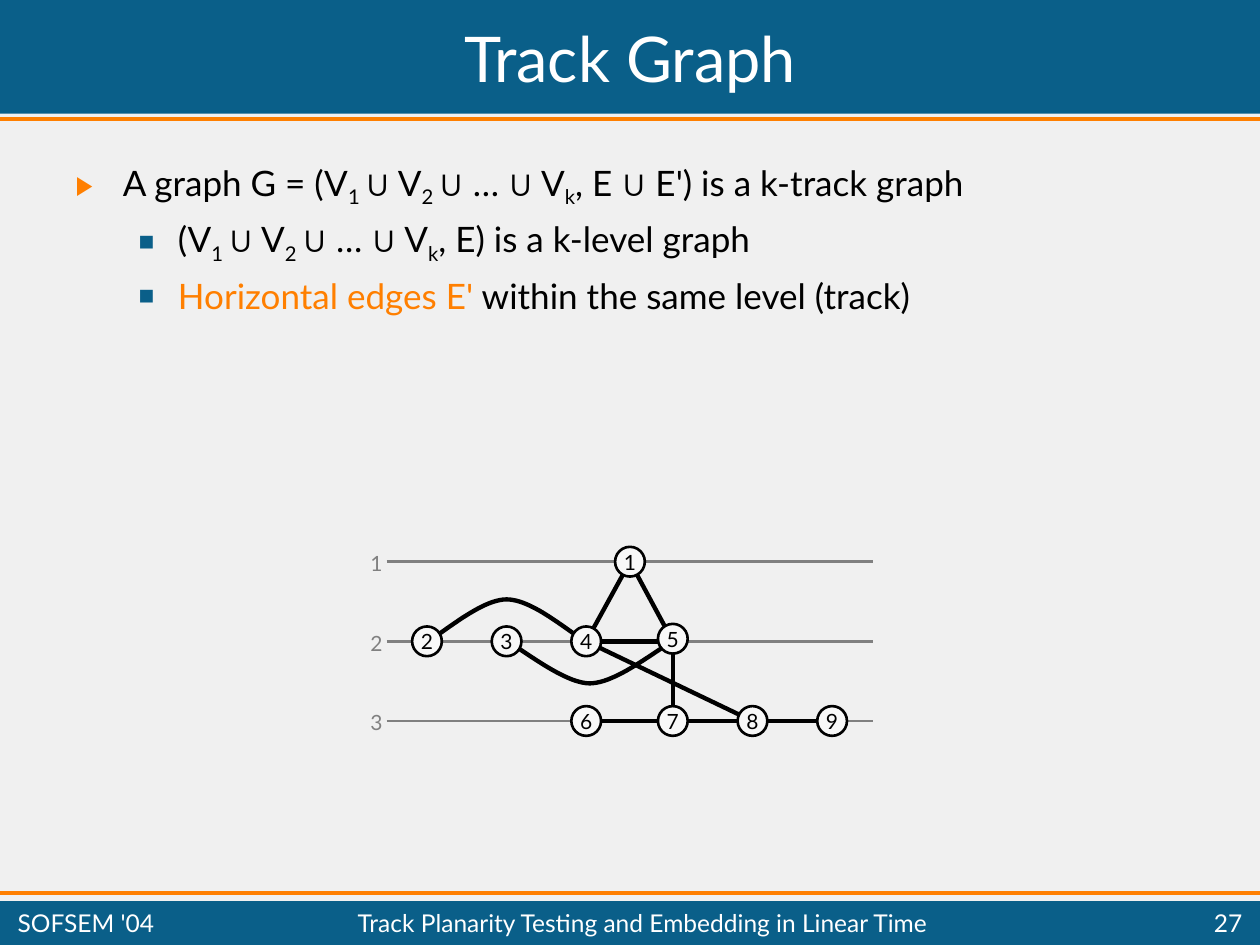
from itertools import groupby

from lxml import etree
from pptx import Presentation
from pptx.dml.color import RGBColor
from pptx.enum import shapes, text
from pptx.oxml import ns
from pptx.util import Pt

BLUE = RGBColor(0x0A, 0x5F, 0x89)
ORANGE = RGBColor(0xFF, 0x7F, 0x00)
PAPER = RGBColor(0xF0, 0xF0, 0xF0)
NODE = RGBColor(0xF8, 0xF8, 0xF8)
GRAY = RGBColor(0x80, 0x80, 0x80)
BLACK = RGBColor(0, 0, 0)
WHITE = RGBColor(0xFF, 0xFF, 0xFF)
FONT = "Lato"
WIDE, HIGH = 720, 540
MID = text.MSO_ANCHOR.MIDDLE
LEFT, CENTER, RIGHT = text.PP_ALIGN.LEFT, text.PP_ALIGN.CENTER, text.PP_ALIGN.RIGHT


def style(par, size, color, align=LEFT):
    par.alignment = align
    par.font.name, par.font.size = FONT, Pt(size)
    par.font.color.rgb = color


def place(shape, box):
    shape.left, shape.top, shape.width, shape.height = map(Pt, box)


def line(slide, start, end, color, width):
    wire = slide.shapes.add_connector(
        shapes.MSO_CONNECTOR.STRAIGHT, *map(Pt, (*start, *end)))
    wire.line.color.rgb, wire.line.width = color, Pt(width)
    etree.SubElement(wire._element.spPr, ns.qn("a:effectLst"))
    return wire


def label(slide, box, words, size, color, align=LEFT, wrap=True):
    item = slide.shapes.add_textbox(*map(Pt, box))
    frame = item.text_frame
    frame.word_wrap, frame.vertical_anchor = wrap, MID
    frame.text = words
    style(frame.paragraphs[0], size, color, align)


# Bars and rules behind the placeholders
def frame_bars(slide, box):
    x, y, w, h = box
    parts = []
    for top, tall in ((y, 65), (y + h - 25, 25)):
        bar = slide.shapes.add_shape(
            shapes.MSO_SHAPE.RECTANGLE, *map(Pt, (x, top, w, tall)))
        bar.shadow.inherit = False
        bar.fill.solid()
        bar.fill.fore_color.rgb = BLUE
        bar.line.fill.background()
        parts.append(bar)
    for rule in (y + 67.75, y + h - 29.5):
        parts.append(line(slide, (x, rule), (x + w, rule), ORANGE, 2.25))
    for spot, part in enumerate(parts, 2):
        slide.shapes._spTree.insert(spot, part._element)


def title(slide, box, words):
    head = slide.shapes.title
    place(head, box)
    frame = head.text_frame
    frame.text = words
    frame.auto_size, frame.vertical_anchor = text.MSO_AUTO_SIZE.NONE, MID
    style(frame.paragraphs[0], 36, WHITE, CENTER)


def bullet(par, mark, color, left, hang):
    props = par._p.get_or_add_pPr()
    props.set("marL", str(Pt(left)))
    props.set("indent", str(-Pt(hang)))
    tint = etree.SubElement(props, ns.qn("a:buClr"))
    etree.SubElement(tint, ns.qn("a:srgbClr"), val=str(color))
    etree.SubElement(props, ns.qn("a:buSzPct"), val="75000")
    etree.SubElement(props, ns.qn("a:buChar"), char=mark)


def add_math(par, words, color):
    """Add runs; [..] marks a subscript, and each union sign is in Arial."""
    marks, low = [], False
    for sign in words:
        if sign in "[]":
            low = sign == "["
        else:
            marks.append((sign, low, "Arial" if sign == "∪" else FONT))
    for (low, face), group in groupby(marks, key=lambda m: m[1:]):
        run = par.add_run()
        run.text = "".join(m[0] for m in group)
        run.font.name, run.font.color.rgb = face, color
        if low:
            run._r.get_or_add_rPr().set("baseline", "-25000")


# Bulleted definition: level and coloured pieces of each line
def body(slide, box, items):
    hold = slide.placeholders[1]
    place(hold, box)
    frame = hold.text_frame
    frame.auto_size = text.MSO_AUTO_SIZE.NONE
    looks = (("▶", ORANGE, 27, 27, 12.5), ("■", BLUE, 58.5, 22.5, 5))
    for spot, (level, pieces) in enumerate(items):
        par = frame.add_paragraph() if spot else frame.paragraphs[0]
        mark, color, left, hang, gap = looks[level]
        par.level = level
        bullet(par, mark, color, left, hang)
        par.space_before = Pt(gap)
        style(par, 20, BLACK)
        for words, tint in pieces:
            add_math(par, words, tint)


def curve(slide, start, *bends):
    """Draw cubic curves through the bends, each two handles and an end."""
    dots, here = [], start
    for one, two, end in bends:
        for step in range(1, 25):
            t = step / 24
            s = 1 - t
            dots.append(tuple(
                Pt(s**3 * a + 3 * s * s * t * b + 3 * s * t * t * c + t**3 * d)
                for a, b, c, d in zip(here, one, two, end)))
        here = end
    pen = slide.shapes.build_freeform(*map(Pt, start))
    pen.add_line_segments(dots, close=False)
    arc = pen.convert_to_shape()
    arc.shadow.inherit = False
    arc.fill.background()
    arc.line.color.rgb, arc.line.width = BLACK, Pt(2.5)


# Track graph: the box runs from the first track to the last
def graph(slide, box):
    x, y, w, h = box
    gap = h / 2
    cols = {1: 139, 2: 23, 3: 68.5, 4: 114, 5: 163.5,
            6: 114, 7: 163.5, 8: 209, 9: 254.5}
    rows = {1: 0, 2: 1, 3: 1, 4: 1, 5: 1, 6: 2, 7: 2, 8: 2, 9: 2}
    spots = {n: (x + cols[n], y + rows[n] * gap) for n in cols}

    # Tracks and their numbers
    for row in range(3):
        level = y + row * gap
        line(slide, (x, level), (x + w, level), GRAY, 1.5)
        label(slide, (x - 16.5, level - 10, 21, 21.5), str(row + 1),
              12, GRAY, wrap=False)

    # Edges
    for a, b in ((1, 4), (1, 5), (4, 5), (4, 8), (5, 7), (6, 9)):
        line(slide, spots[a], spots[b], BLACK, 2.5)
    for a, b, rise in ((2, 4, -24), (3, 5, 24)):
        (left, base), (right, _) = spots[a], spots[b]
        mid, peak = (left + right) / 2, base + rise
        curve(slide, (left, base),
              ((left + 8, base + rise * 0.15), (mid - 15, peak), (mid, peak)),
              ((mid + 15, peak), (right - 10, base + rise * 0.22), (right, base)))

    # Nodes
    size = 17
    for name, (mid, level) in spots.items():
        if name == 5:
            level -= 1.5
        dot = slide.shapes.add_shape(
            shapes.MSO_SHAPE.OVAL,
            *map(Pt, (mid - size / 2, level - size / 2, size, size)))
        dot.shadow.inherit = False
        dot.fill.solid()
        dot.fill.fore_color.rgb = NODE
        dot.line.color.rgb, dot.line.width = BLACK, Pt(1.5)
        frame = dot.text_frame
        frame.word_wrap, frame.vertical_anchor = False, MID
        frame.text = str(name)
        style(frame.paragraphs[0], 12, BLACK, CENTER)


def footer(slide, box):
    x, y, w, h = box
    for left, wide, words, align in (
            (0, 104, "SOFSEM '04", LEFT),
            (105, 518.5, "Track Planarity Testing and Embedding in Linear Time", CENTER),
            (w - 85, 85, "27", RIGHT)):
        label(slide, (x + left, y, wide, h), words, 14, WHITE, align)


def main():
    deck = Presentation()
    deck.slide_width, deck.slide_height = Pt(WIDE), Pt(HIGH)
    slide = deck.slides.add_slide(deck.slide_layouts[1])
    slide.background.fill.solid()
    slide.background.fill.fore_color.rgb = PAPER
    frame_bars(slide, (0, 0, WIDE, HIGH))
    title(slide, (3, 3, 714, 60), "Track Graph")
    body(slide, (36, 88.5, 656, 124), (
        (0, [("A graph G = (V[1 ]∪ V[2 ]∪ … ∪ V[k], E ∪ E') is a k-track graph", BLACK)]),
        (1, [("(V[1 ]∪ V[2 ]∪ … ∪ V[k], E) is a k-level graph", BLACK)]),
        (1, [("Horizontal edges E'", ORANGE),
             (" within the same level (track)", BLACK)])))
    graph(slide, (221, 321, 278, 91))
    footer(slide, (3, 517.5, 714, 20))
    deck.save("out.pptx")


if __name__ == "__main__":
    main()
